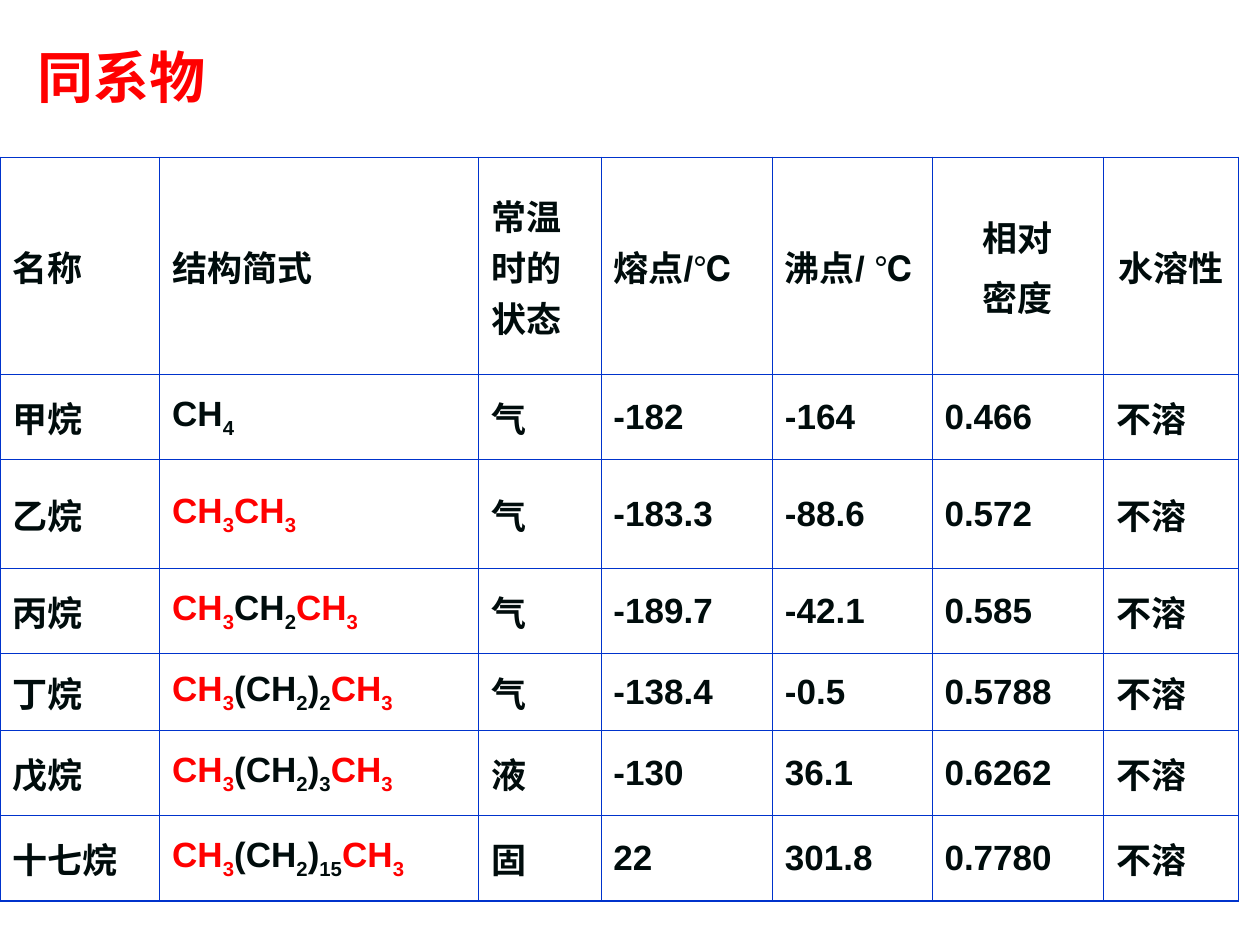
"""Build a slide with a table comparing the properties of straight-chain alkanes."""

import dataclasses
import itertools

import lxml.etree
import pptx
import pptx.dml.color
import pptx.enum.text
import pptx.oxml.ns
import pptx.util

Pt = pptx.util.Pt
Align = pptx.enum.text.PP_ALIGN
Anchor = pptx.enum.text.MSO_ANCHOR

RED = pptx.dml.color.RGBColor(0xFF, 0x00, 0x00)
INK = pptx.dml.color.RGBColor(0x00, 0x0C, 0x0C)
BLUE = pptx.dml.color.RGBColor(0x00, 0x33, 0xCC)
WHITE = pptx.dml.color.RGBColor(0xFF, 0xFF, 0xFF)

FONT = "Arial"
METHYL = "CH3"
INNER_BORDER = Pt(0.45)
OUTER_BORDER = Pt(1.08)


@dataclasses.dataclass(frozen=True)
class Alkane:
    name: str
    formula: str
    state: str
    melting_point: str
    boiling_point: str
    density: str
    row_height: float = 48.6
    solubility: str = "不溶"

    def cell_texts(self) -> list[str]:
        return [self.name, self.formula, self.state, self.melting_point,
                self.boiling_point, self.density, self.solubility]


HEADERS = ["名称", "结构简式", "常温时的状态", "熔点/℃", "沸点/ ℃", "相对\n密度", "水溶性"]
HEADER_HEIGHT = 124
COLUMN_WIDTHS = [91.2, 182.2, 70, 98, 91.2, 98, 77.2]
FORMULA_COLUMN = 1
CENTERED_HEADERS = {5, 6}
ALKANES = [
    Alkane("甲烷", "CH4", "气", "-182", "-164", "0.466"),
    Alkane("乙烷", "CH3CH3", "气", "-183.3", "-88.6", "0.572", row_height=62.4),
    Alkane("丙烷", "CH3CH2CH3", "气", "-189.7", "-42.1", "0.585"),
    Alkane("丁烷", "CH3(CH2)2CH3", "气", "-138.4", "-0.5", "0.5788", row_height=44),
    Alkane("戊烷", "CH3(CH2)3CH3", "液", "-130", "36.1", "0.6262"),
    Alkane("十七烷", "CH3(CH2)15CH3", "固", "22", "301.8", "0.7780"),
]


def format_run(run, size: float, color: pptx.dml.color.RGBColor) -> None:
    run.font.name = FONT
    run.font.size = Pt(size)
    run.font.bold = True
    run.font.color.rgb = color


def add_title(slide, text: str) -> None:
    title = slide.shapes.title
    title.left, title.top, title.width, title.height = Pt(14.4), Pt(20.2), Pt(304), Pt(46)
    text_frame = title.text_frame
    text_frame.text = text
    text_frame.word_wrap = True
    text_frame.vertical_anchor = Anchor.MIDDLE
    paragraph = text_frame.paragraphs[0]
    paragraph.alignment = Align.LEFT
    format_run(paragraph.runs[0], 32, RED)


def write_text(cell, text: str, alignment: Align) -> None:
    cell.text_frame.text = text
    for index, paragraph in enumerate(cell.text_frame.paragraphs):
        paragraph.alignment = alignment
        paragraph.space_before = Pt(5 if index else 0)
        format_run(paragraph.runs[0], 20, INK)


def write_formula(cell, formula: str) -> None:
    """Write a formula with subscript digits and red methyl end groups."""
    ends = len(METHYL) if formula.startswith(METHYL) else 0

    def run_style(position: int) -> tuple[bool, bool]:
        is_end = position < ends or position >= len(formula) - ends
        return formula[position].isdigit(), is_end

    paragraph = cell.text_frame.paragraphs[0]
    for (is_subscript, is_end), positions in itertools.groupby(range(len(formula)), run_style):
        run = paragraph.add_run()
        run.text = "".join(formula[position] for position in positions)
        format_run(run, 20, RED if is_end else INK)
        if is_subscript:
            run.font._element.set("baseline", "-25000")


def set_border(cell, side: str, width: int) -> None:
    qn = pptx.oxml.ns.qn
    line = lxml.etree.SubElement(cell._tc.get_or_add_tcPr(), qn(f"a:ln{side}"), w=str(int(width)))
    fill = lxml.etree.SubElement(line, qn("a:solidFill"))
    lxml.etree.SubElement(fill, qn("a:srgbClr"), val=str(BLUE))


def format_cell(cell, outer_sides: dict[str, bool]) -> None:
    for side, is_outer in outer_sides.items():
        set_border(cell, side, OUTER_BORDER if is_outer else INNER_BORDER)
    cell.fill.solid()
    cell.fill.fore_color.rgb = WHITE
    cell.vertical_anchor = Anchor.MIDDLE
    cell.margin_left = cell.margin_right = Pt(7.2)
    cell.margin_top = cell.margin_bottom = Pt(3.6)


def add_alkane_table(slide) -> None:
    rows = [HEADERS] + [alkane.cell_texts() for alkane in ALKANES]
    heights = [HEADER_HEIGHT] + [alkane.row_height for alkane in ALKANES]
    table = slide.shapes.add_table(
        len(rows), len(HEADERS), Pt(0), Pt(90), Pt(sum(COLUMN_WIDTHS)), Pt(sum(heights))
    ).table
    table.first_row = table.horz_banding = False
    for column, width in zip(table.columns, COLUMN_WIDTHS):
        column.width = Pt(width)
    for row, height in zip(table.rows, heights):
        row.height = Pt(height)
    for row_index, texts in enumerate(rows):
        for column_index, text in enumerate(texts):
            cell = table.cell(row_index, column_index)
            format_cell(cell, {
                "L": column_index == 0,
                "R": column_index == len(HEADERS) - 1,
                "T": row_index == 0,
                "B": row_index == len(rows) - 1,
            })
            if row_index and column_index == FORMULA_COLUMN:
                write_formula(cell, text)
            else:
                is_centered = row_index == 0 and column_index in CENTERED_HEADERS
                write_text(cell, text, Align.CENTER if is_centered else Align.LEFT)


def main() -> None:
    presentation = pptx.Presentation()
    presentation.slide_width, presentation.slide_height = Pt(720), Pt(540)
    slide = presentation.slides.add_slide(presentation.slide_layouts[5])
    add_title(slide, "同系物")
    add_alkane_table(slide)
    presentation.save("out.pptx")


if __name__ == "__main__":
    main()
